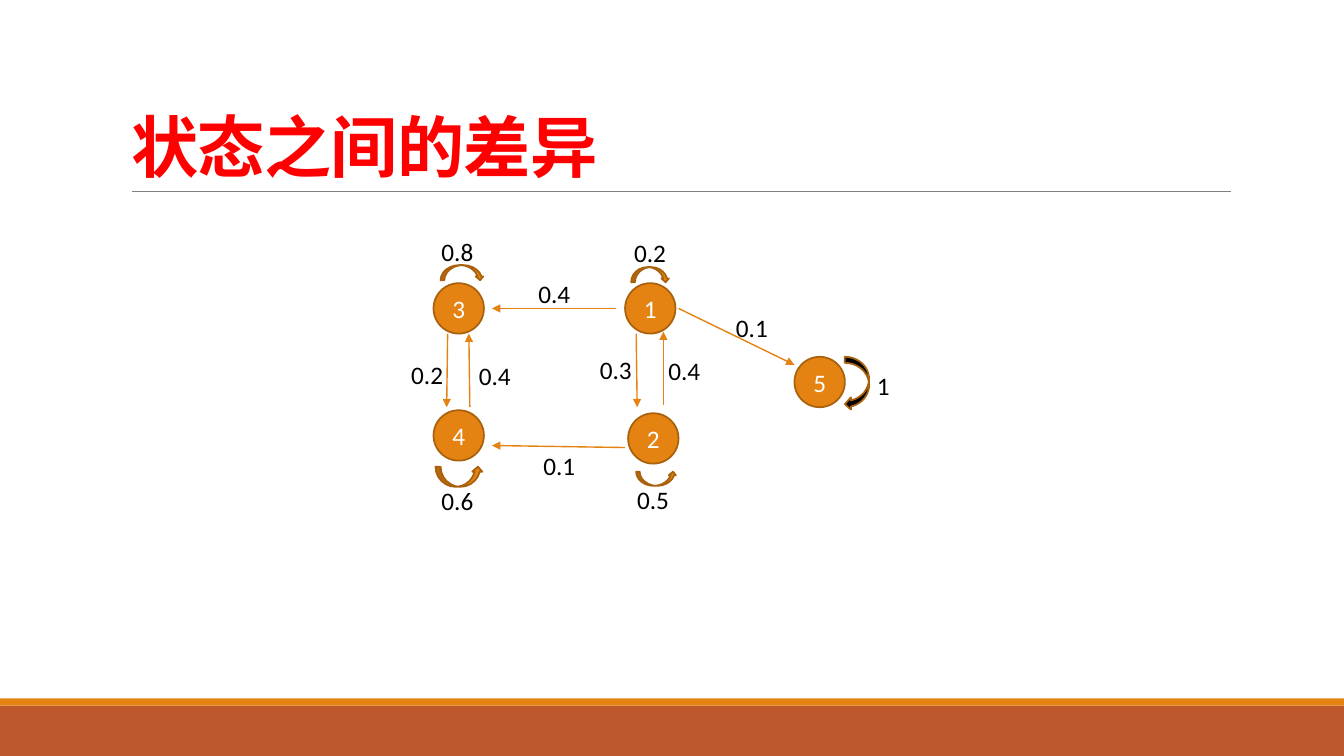
from typing import Any, NamedTuple

from pptx import Presentation
from pptx.dml.color import RGBColor
from pptx.enum.shapes import MSO_CONNECTOR as Link, MSO_SHAPE as Kind
from pptx.enum.text import MSO_ANCHOR as Anchor, MSO_AUTO_SIZE as Fit, PP_ALIGN as Align
from pptx.oxml.ns import qn
from pptx.util import Inches, Pt
from lxml.etree import SubElement

ORANGE, RUST, BROWN = "E48312", "BD582C", "A9610D"
WHITE, BLACK, RED, GRAY = "FFFFFF", "000000", "FF0000", "808080"
SIZE = 0.5  # node diameter


class Node(NamedTuple):
    name: str
    x: float
    y: float


class Edge(NamedTuple):
    x1: float
    y1: float
    x2: float
    y2: float


class Loop(NamedTuple):
    kind: Kind
    x: float
    y: float
    w: float
    h: float
    fill: str = ORANGE


class Label(NamedTuple):
    text: str
    x: float
    y: float
    w: float = 0.52


NODES = [
    Node("1", 6.2, 2.81), Node("2", 6.23, 4.1), Node("5", 7.88, 3.54),
    Node("3", 4.3, 2.81), Node("4", 4.3, 4.07),
]
EDGES = [
    Edge(6.73, 3.06, 7.88, 3.62), Edge(6.31, 3.31, 6.32, 4.04),
    Edge(6.58, 4.02, 6.58, 3.29), Edge(4.44, 3.31, 4.43, 4.04),
    Edge(4.66, 4.04, 4.65, 3.31), Edge(6.11, 3.06, 4.88, 3.06),
    Edge(6.2, 4.44, 4.88, 4.42),
]
LOOPS = [
    Loop(Kind.CURVED_LEFT_ARROW, 8.38, 3.54, 0.24, 0.53, BLACK),
    Loop(Kind.CURVED_UP_ARROW, 4.32, 4.63, 0.47, 0.2),
    Loop(Kind.CURVED_UP_ARROW, 6.31, 4.68, 0.4, 0.14),
    Loop(Kind.CURVED_DOWN_ARROW, 4.37, 2.63, 0.43, 0.15),
    Loop(Kind.CURVED_DOWN_ARROW, 6.26, 2.65, 0.38, 0.15),
]
LABELS = [
    Label("0.8", 4.28, 2.3), Label("1", 8.6, 3.62, 0.33),
    Label("0.2", 6.19, 2.31), Label("0.4", 5.24, 2.71),
    Label("0.3", 5.85, 3.47), Label("0.2", 3.98, 3.52),
    Label("0.4", 4.65, 3.53), Label("0.6", 4.28, 4.77),
    Label("0.5", 6.22, 4.76), Label("0.4", 6.53, 3.48),
    Label("0.1", 5.29, 4.42), Label("0.1", 7.2, 3.05),
]


def rgb(code: str) -> RGBColor:
    return RGBColor.from_string(code)


def put(item: Any, form: dict[str, Any]) -> None:
    for key, val in form.items():
        setattr(item, key, val)


def write(shape: Any, text: str, color: str, size: int, form: dict[str, Any],
          para: dict[str, Any], bold: bool = False) -> Any:
    frame = shape.text_frame
    put(frame, form)
    part = frame.paragraphs[0]
    put(part, para)
    run = part.add_run()
    run.text = text
    put(run.font, {"name": "Calibri", "size": Pt(size), "bold": bold})
    run.font.color.rgb = rgb(color)
    return run


def draw(slide: Any, kind: Kind, x: float, y: float, w: float, h: float,
         fill: str, edge: str = "") -> Any:
    shape = slide.shapes.add_shape(kind, Inches(x), Inches(y), Inches(w), Inches(h))
    shape.shadow.inherit = False
    shape.fill.solid()
    shape.fill.fore_color.rgb = rgb(fill)
    if edge:
        shape.line.color.rgb = rgb(edge)
        shape.line.width = Pt(1.25)
    else:
        shape.line.fill.background()
    return shape


def join(slide: Any, edge: Edge, color: str, width: float, head: bool = True) -> None:
    line = slide.shapes.add_connector(Link.STRAIGHT, *map(Inches, edge))
    line.line.color.rgb = rgb(color)
    line.line.width = Pt(width)
    if head:
        SubElement(line.line._get_or_add_ln(), qn("a:tailEnd"), type="triangle")
    SubElement(line._element.spPr, qn("a:effectLst"))


def add_title(slide: Any, text: str) -> None:
    title = slide.shapes.title
    put(title, {"left": Inches(1.2), "top": Inches(0.31),
                "width": Inches(11), "height": Inches(1.59)})
    run = write(title, text, RED, 48,
                {"vertical_anchor": Anchor.BOTTOM, "auto_size": Fit.NONE, "word_wrap": True},
                {"alignment": Align.LEFT, "line_spacing": 0.85}, True)
    run.font._element.set("spc", "-50")


def add_node(slide: Any, node: Node) -> None:
    disc = draw(slide, Kind.FLOWCHART_CONNECTOR, node.x, node.y, SIZE, SIZE, ORANGE, BROWN)
    write(disc, node.name, WHITE, 18, {"vertical_anchor": Anchor.MIDDLE},
          {"alignment": Align.CENTER})


def add_label(slide: Any, label: Label) -> None:
    box = slide.shapes.add_textbox(Inches(label.x), Inches(label.y),
                                   Inches(label.w), Inches(0.4))
    write(box, label.text, BLACK, 18,
          {"word_wrap": False, "auto_size": Fit.SHAPE_TO_FIT_TEXT},
          {"alignment": Align.LEFT})


def main() -> None:
    deck = Presentation()
    put(deck, {"slide_width": Inches(13.33), "slide_height": Inches(7.5)})
    slide = deck.slides.add_slide(deck.slide_layouts[5])

    # Footer bands, title and its rule
    draw(slide, Kind.RECTANGLE, 0, 7, 13.33, 0.5, RUST)
    draw(slide, Kind.RECTANGLE, 0, 6.93, 13.33, 0.07, ORANGE)
    join(slide, Edge(1.31, 1.9, 12.21, 1.9), GRAY, 0.5, head=False)
    add_title(slide, "状态之间的差异")

    # State graph
    for node in NODES:
        add_node(slide, node)
    for edge in EDGES:
        join(slide, edge, ORANGE, 1)
    for loop in LOOPS:
        draw(slide, *loop, BROWN)

    # Transition odds
    for label in LABELS:
        add_label(slide, label)

    deck.save("out.pptx")


if __name__ == "__main__":
    main()
